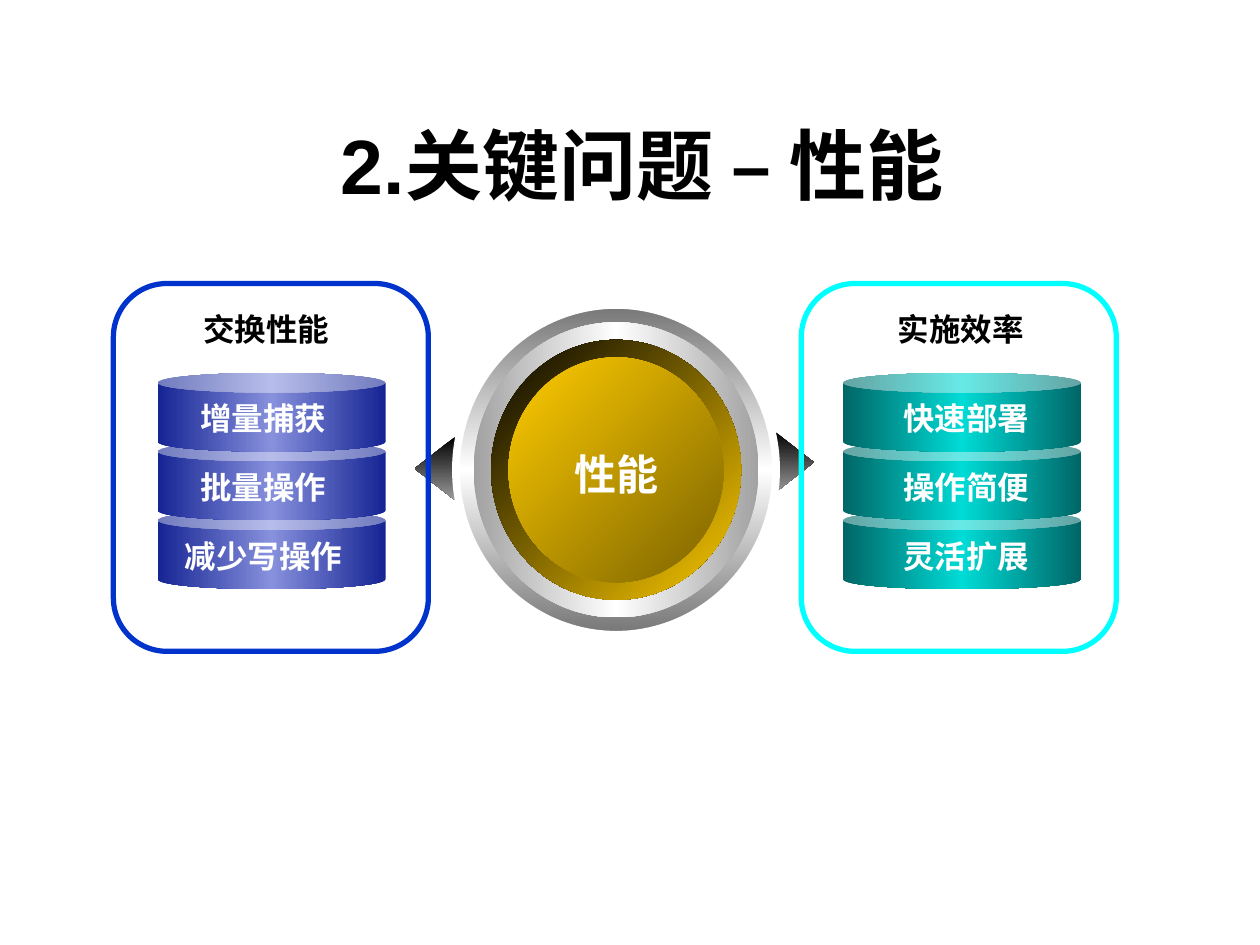
from lxml import etree
from pptx import Presentation
from pptx.dml.color import RGBColor
from pptx.enum.shapes import MSO_SHAPE
from pptx.enum.text import MSO_ANCHOR, PP_ALIGN
from pptx.oxml.ns import qn
from pptx.util import Pt

CAN = MSO_SHAPE.CAN
OVAL = MSO_SHAPE.OVAL
LEFT = MSO_SHAPE.LEFT_ARROW
RIGHT = MSO_SHAPE.RIGHT_ARROW
ROUND = MSO_SHAPE.ROUNDED_RECTANGLE
CENTER = PP_ALIGN.CENTER
TOP = MSO_ANCHOR.TOP
MIDDLE = MSO_ANCHOR.MIDDLE


def color(code):
    """Turn a hex string into a colour."""
    return RGBColor.from_string(code)


def shade(shape, codes, angle):
    """Fill a shape with evenly spaced gradient stops, angle clockwise."""
    shape.fill.gradient()
    grad = shape._element.spPr.find(qn("a:gradFill"))
    stops = grad.find(qn("a:gsLst"))
    for stop in list(stops):
        stops.remove(stop)
    for i, code in enumerate(codes):
        pos = str(100000 * i // (len(codes) - 1))
        stop = etree.SubElement(stops, qn("a:gs"), pos=pos)
        etree.SubElement(stop, qn("a:srgbClr"), val=code)
    grad.find(qn("a:lin")).set("ang", str(angle * 60000))


def add_form(slide, kind, box, codes=None, angle=0, line=None, width=0):
    """Add a preset shape with a gradient or no fill, and an optional line."""
    shape = slide.shapes.add_shape(kind, *map(Pt, box))
    shape.shadow.inherit = False
    if codes:
        shade(shape, codes, angle)
    else:
        shape.fill.background()
    if line:
        shape.line.color.rgb = color(line)
        shape.line.width = Pt(width)
    else:
        shape.line.fill.background()
    return shape


def add_text(slide, box, text, size, code, face="Arial", anchor=TOP):
    """Add one bold centred line of text."""
    frame = slide.shapes.add_textbox(*map(Pt, box)).text_frame
    frame.word_wrap = True
    frame.vertical_anchor = anchor
    para = frame.paragraphs[0]
    para.text = text
    para.alignment = CENTER
    font = para.font
    font.name, font.size, font.bold = face, Pt(size), True
    font.color.rgb = color(code)


def add_core(slide, x, y, w, h, text):
    """Draw the central dial with its two side arrows and its name."""
    for kind, dx, dy in ((LEFT, -23.7, 75.6), (RIGHT, w - 1.4, 72)):
        arrow = add_form(slide, kind, (x + dx, y + dy, 23, 36),
                         ("000000", "9B9B9B"), 90)
        arrow.adjustments[0] = 0.52
        arrow.adjustments[1] = 1
    rings = (
        (0, ("767676", "FFFFFF", "767676"), 90, "FFFFFF"),
        (10, ("A2A2A2", "FFFFFF", "A2A2A2"), 0, None),
        (20, ("000000", "FFCC00"), 45, None),
        (30, ("FFCC00", "7C6300"), 45, None),
    )
    for gap, codes, angle, line in rings:
        box = (x + gap, y + gap, w - 2 * gap, h - 2 * gap)
        add_form(slide, OVAL, box, codes, angle, line, 4.5)
    add_text(slide, (x + w / 2 - 43, y + 78.5, 86, 36), text, 24, "FFFFFF")


def add_panel(slide, x, y, w, h, head, items, line, codes, can, mid, top):
    """Draw a framed stack of cans; can, mid and top are offsets from x."""
    step = 39.3
    dx, wide = can
    for i in reversed(range(len(items))):
        add_form(slide, CAN, (x + dx, y + 51.1 + i * step, wide, 45), codes)
    for i, item in enumerate(items):
        span = 31.7 + 18 * len(item)
        box = (x + mid - span / 2, y + 62.6 + i * step, span, 28.8)
        add_text(slide, box, item, 18, "FFFFFF")
    frame = add_form(slide, ROUND, (x, y, w, h), line=line, width=3)
    frame.adjustments[0] = 0.17
    add_text(slide, (x + top, y + 11.5, 105.8, 28.8), head, 18, "000000",
             "DejaVu Sans")


def main():
    """Build the slide and save it."""
    deck = Presentation()
    deck.slide_width, deck.slide_height = Pt(720), Pt(540)
    slide = deck.slides.add_slide(deck.slide_layouts[6])
    add_text(slide, (76.3, 71.3, 581.8, 44.6), "2.关键问题 – 性能", 44,
             "000000", anchor=MIDDLE)
    add_core(slide, 260.6, 174.2, 182.9, 188.6, "性能")
    add_panel(slide, 64.8, 162, 180, 210.2, "交换性能",
              ("增量捕获", "批量操作", "减少写操作"), "0033CC",
              ("152493", "8791DD", "152493"), (25.2, 130.3), 85.7, 34.6)
    add_panel(slide, 457.9, 162, 180, 210.2, "实施效率",
              ("快速部署", "操作简便", "灵活扩展"), "00FFFF",
              ("006666", "00DBD6", "006666"), (23.8, 136.1), 94.3, 38.2)
    deck.save("out.pptx")


if __name__ == "__main__":
    main()
